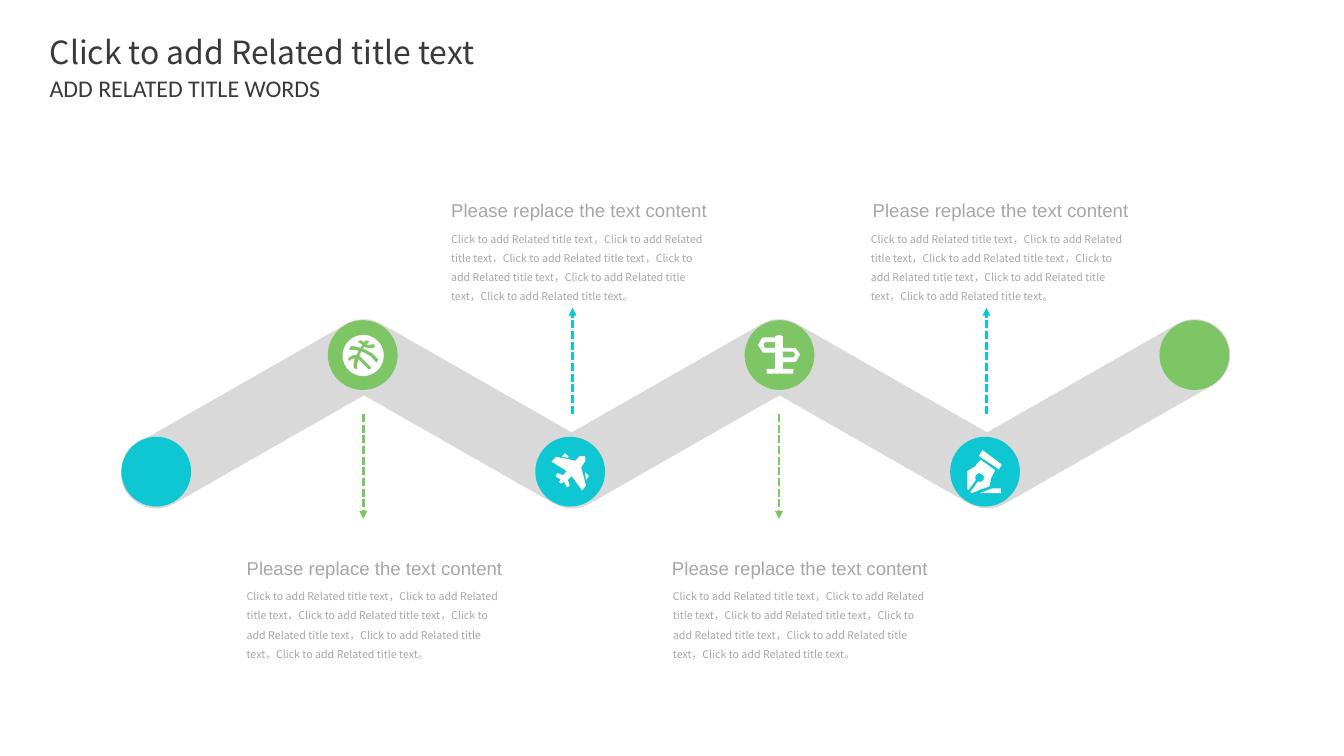
from dataclasses import dataclass
from math import atan2, cos, degrees, pi, radians, sin

from lxml import etree
from pptx import Presentation
from pptx import util as u
from pptx.dml.color import RGBColor
from pptx.enum import dml, shapes, text
from pptx.oxml import ns

TEAL = RGBColor(0x0F, 0xC7, 0xD3)
GREEN = RGBColor(0x7E, 0xC5, 0x65)
RIBBON_GREY = RGBColor(0xD9, 0xD9, 0xD9)
TEXT_GREY = RGBColor(0xA6, 0xA6, 0xA6)
TITLE_DARK = RGBColor(0x3B, 0x38, 0x38)
WHITE = RGBColor(0xFF, 0xFF, 0xFF)
SANS = "Noto Sans CJK SC"
HEADING = "Please replace the text content"
BODY = "，".join(["Click to add Related title text"] * 6) + "。"

Point = tuple[float, float]
Contour = list[Point]


@dataclass
class Badge:
    left: float
    top: float
    color: RGBColor


@dataclass
class Callout:
    heading_left: float
    heading_width: float
    body_left: float
    top: float
    arrow_x: float
    arrow_end: float
    color: RGBColor


BADGES = [
    Badge(1.27, 4.57, TEAL), Badge(3.43, 3.35, GREEN), Badge(5.6, 4.57, TEAL),
    Badge(7.79, 3.35, GREEN), Badge(9.94, 4.57, TEAL), Badge(12.13, 3.35, GREEN),
]
CALLOUTS = [
    Callout(2.47, 3.38, 2.49, 5.73, 3.8, 5.43, GREEN),
    Callout(4.61, 2.92, 4.63, 1.99, 5.99, 3.22, TEAL),
    Callout(6.92, 3.02, 6.95, 5.73, 8.15, 5.43, GREEN),
    Callout(9.02, 2.9, 9.02, 1.99, 10.32, 3.22, TEAL),
]


def arc(center: Point, radius: float, start: float, end: float) -> Contour:
    """Points along an arc; degrees run clockwise from the right."""
    steps = max(2, round(abs(end - start) / 6))
    angles = [radians(start + (end - start) * i / steps) for i in range(steps + 1)]
    return [(center[0] + radius * cos(a), center[1] + radius * sin(a)) for a in angles]


def zigzag_outline() -> Contour:
    left, pitch, low, high, radius = 1.635, 2.173, 4.95, 3.71, 0.37
    centers = [(left + pitch * i, high if i % 2 else low) for i in range(6)]
    tilt = degrees(atan2(low - high, pitch))
    notch = radius / cos(radians(tilt))
    upper: Contour = []
    lower: Contour = []
    for x, y in centers[1:-1]:
        if y == high:
            upper += arc((x, y), radius, -90 - tilt, -90 + tilt)
            lower.append((x, y + notch))
        else:
            upper.append((x, y - notch))
            lower += arc((x, y), radius, 90 + tilt, 90 - tilt)
    start_cap = arc(centers[0], radius, 90 - tilt, 270 - tilt)
    end_cap = arc(centers[-1], radius, -90 - tilt, 90 - tilt)
    return start_cap + upper + end_cap + lower[::-1]


# Icon outlines, in slide inches
BALL = [
    arc((3.8, 3.72), 0.215, 0, 360),
    [(3.67, 3.62), (3.65, 3.66), (3.7, 3.66), (3.75, 3.67), (3.73, 3.71), (3.68, 3.72),
     (3.64, 3.75), (3.65, 3.78), (3.68, 3.76), (3.71, 3.75), (3.7, 3.8), (3.7, 3.85),
     (3.74, 3.87), (3.735, 3.82), (3.75, 3.76), (3.8, 3.81), (3.86, 3.87), (3.89, 3.85),
     (3.83, 3.79), (3.76, 3.72), (3.78, 3.68), (3.81, 3.69), (3.88, 3.73), (3.94, 3.8),
     (3.96, 3.76), (3.9, 3.7), (3.83, 3.66), (3.8, 3.65), (3.81, 3.63), (3.84, 3.64),
     (3.89, 3.645), (3.93, 3.63), (3.91, 3.6), (3.85, 3.61), (3.84, 3.6), (3.87, 3.57),
     (3.83, 3.56), (3.81, 3.58), (3.78, 3.56), (3.74, 3.57), (3.79, 3.61), (3.77, 3.64),
     (3.72, 3.625)],
]
SIGNPOST = [
    [(8.11, 3.58), (8, 3.58), (7.99, 3.61), (8, 3.64), (8.11, 3.64)],
    [(8.19, 3.64), (8.32, 3.64), (8.33, 3.65), (8.37, 3.71), (8.33, 3.78), (8.31, 3.79),
     (8.19, 3.79), (8.19, 3.86), (8.3, 3.86), (8.3, 3.91), (8.02, 3.91), (8.02, 3.86),
     (8.11, 3.86), (8.11, 3.69), (7.98, 3.69), (7.97, 3.67), (7.93, 3.61), (7.97, 3.54),
     (7.99, 3.53), (8.11, 3.53), (8.11, 3.52), (8.15, 3.5), (8.19, 3.52)],
    [(8.3, 3.68), (8.19, 3.68), (8.19, 3.74), (8.3, 3.74), (8.32, 3.71)],
]
PLANE = [
    [(6.12, 4.77), (6.125, 4.82), (6.08, 4.89), (6.13, 5.08), (6.09, 5.13), (5.98, 4.98),
     (5.94, 5.02), (5.96, 5.08), (5.93, 5.1), (5.9, 5.04), (5.87, 5.06), (5.85, 5.04),
     (5.87, 5.02), (5.81, 4.98), (5.83, 4.95), (5.89, 4.97), (5.93, 4.93), (5.77, 4.83),
     (5.82, 4.78), (6.02, 4.82), (6.06, 4.775)],
    [(6.16, 4.98), (6.12, 4.94), (6.13, 5.02)],
    [(5.91, 4.74), (5.88, 4.78), (5.94, 4.79), (5.95, 4.78)],
]
PEN = [
    [(10.13, 5.13), (10.12, 5.12), (10.12, 4.93), (10.2, 4.88), (10.26, 4.81), (10.41, 4.92),
     (10.37, 5), (10.35, 5.09), (10.26, 5.12), (10.17, 5.16), (10.15, 5.15), (10.23, 5.04),
     (10.27, 5.04), (10.29, 5.02), (10.295, 4.985), (10.27, 4.96), (10.24, 4.95),
     (10.21, 4.97), (10.2, 5), (10.21, 5.02)],
    [(10.25, 5.16), (10.47, 5.16), (10.47, 5.11), (10.38, 5.11)],
    [(10.45, 4.91), (10.48, 4.86), (10.28, 4.71), (10.24, 4.77)],
]


def paint(shape, color: RGBColor) -> None:
    shape.shadow.inherit = False
    shape.fill.solid()
    shape.fill.fore_color.rgb = color
    shape.line.fill.background()


def draw_outline(slide, contours: list[Contour], color: RGBColor) -> None:
    scaled = [[(u.Inches(x), u.Inches(y)) for x, y in contour] for contour in contours]
    builder = slide.shapes.build_freeform(*scaled[0][0])
    builder.add_line_segments(scaled[0][1:], close=True)
    for contour in scaled[1:]:
        builder.move_to(*contour[0])
        builder.add_line_segments(contour[1:], close=True)
    paint(builder.convert_to_shape(), color)


def draw_badge(slide, badge: Badge) -> None:
    size = u.Inches(0.73)
    shape = slide.shapes.add_shape(shapes.MSO_SHAPE.ROUNDED_RECTANGLE,
                                   u.Inches(badge.left), u.Inches(badge.top), size, size)
    shape.adjustments[0] = 0.5
    shape.rotation = 330.1
    paint(shape, badge.color)


def write(shape, content: str, *, box: tuple[float, float, float, float], size: float,
          font: str, color: RGBColor, spacing: float = 1.0, inset: float = 0.11,
          wrap: bool = True) -> None:
    shape.left, shape.top, shape.width, shape.height = map(u.Inches, box)
    frame = shape.text_frame
    frame.word_wrap = wrap
    frame.auto_size = text.MSO_AUTO_SIZE.SHAPE_TO_FIT_TEXT
    frame.vertical_anchor = text.MSO_ANCHOR.TOP
    frame.margin_left = frame.margin_right = u.Inches(inset)
    frame.margin_top = frame.margin_bottom = u.Inches(0.05)
    paragraph = frame.paragraphs[0]
    paragraph.alignment = text.PP_ALIGN.LEFT
    paragraph.line_spacing = spacing
    paragraph.space_before = u.Pt(0)
    run = paragraph.add_run()
    run.text = content
    run.font.size = u.Pt(size)
    run.font.color.rgb = color
    run.font.name = font
    etree.SubElement(run.font._element, ns.qn("a:ea"), typeface=font)


def draw_arrow(slide, callout: Callout) -> None:
    x = u.Inches(callout.arrow_x)
    connector = slide.shapes.add_connector(shapes.MSO_CONNECTOR.STRAIGHT, x, u.Inches(4.33),
                                           x, u.Inches(callout.arrow_end))
    connector.line.color.rgb = callout.color
    connector.line.width = u.Pt(2)
    connector.line.dash_style = dml.MSO_LINE.SQUARE_DOT
    properties = connector.element.spPr
    etree.SubElement(properties.find(ns.qn("a:ln")), ns.qn("a:tailEnd"), type="triangle")
    etree.SubElement(properties, ns.qn("a:effectLst"))


def draw_callout(slide, callout: Callout) -> None:
    draw_arrow(slide, callout)
    body_box = (callout.body_left, callout.top + 0.33, 2.9, 0.88)
    write(slide.shapes.add_textbox(0, 0, 0, 0), BODY, box=body_box, size=8, font=SANS,
          color=TEXT_GREY, spacing=1.5, inset=0.09)
    heading_box = (callout.heading_left, callout.top, callout.heading_width, 0.36)
    write(slide.shapes.add_textbox(0, 0, 0, 0), HEADING, box=heading_box, size=14,
          font="Arial", color=TEXT_GREY, spacing=1.2)


def main() -> None:
    presentation = Presentation()
    presentation.slide_width, presentation.slide_height = u.Inches(14.06), u.Inches(7.91)
    slide = presentation.slides.add_slide(presentation.slide_layouts[0])

    # Title and subtitle
    write(slide.shapes.title, "Click to add Related title text", box=(0.41, 0.29, 4.86, 0.51),
          size=24, font=SANS, color=TITLE_DARK, wrap=False)
    write(slide.placeholders[1], "ADD RELATED TITLE WORDS", box=(0.41, 0.72, 3.07, 0.41),
          size=18, font="Calibri", color=TITLE_DARK, wrap=False)

    # Zigzag road with its badges and icons
    draw_outline(slide, [zigzag_outline()], RIBBON_GREY)
    for badge in BADGES:
        draw_badge(slide, badge)
    for icon in (BALL, SIGNPOST, PLANE, PEN):
        draw_outline(slide, icon, WHITE)

    # Callouts above and below the road
    for callout in CALLOUTS:
        draw_callout(slide, callout)

    presentation.save("out.pptx")


if __name__ == "__main__":
    main()
